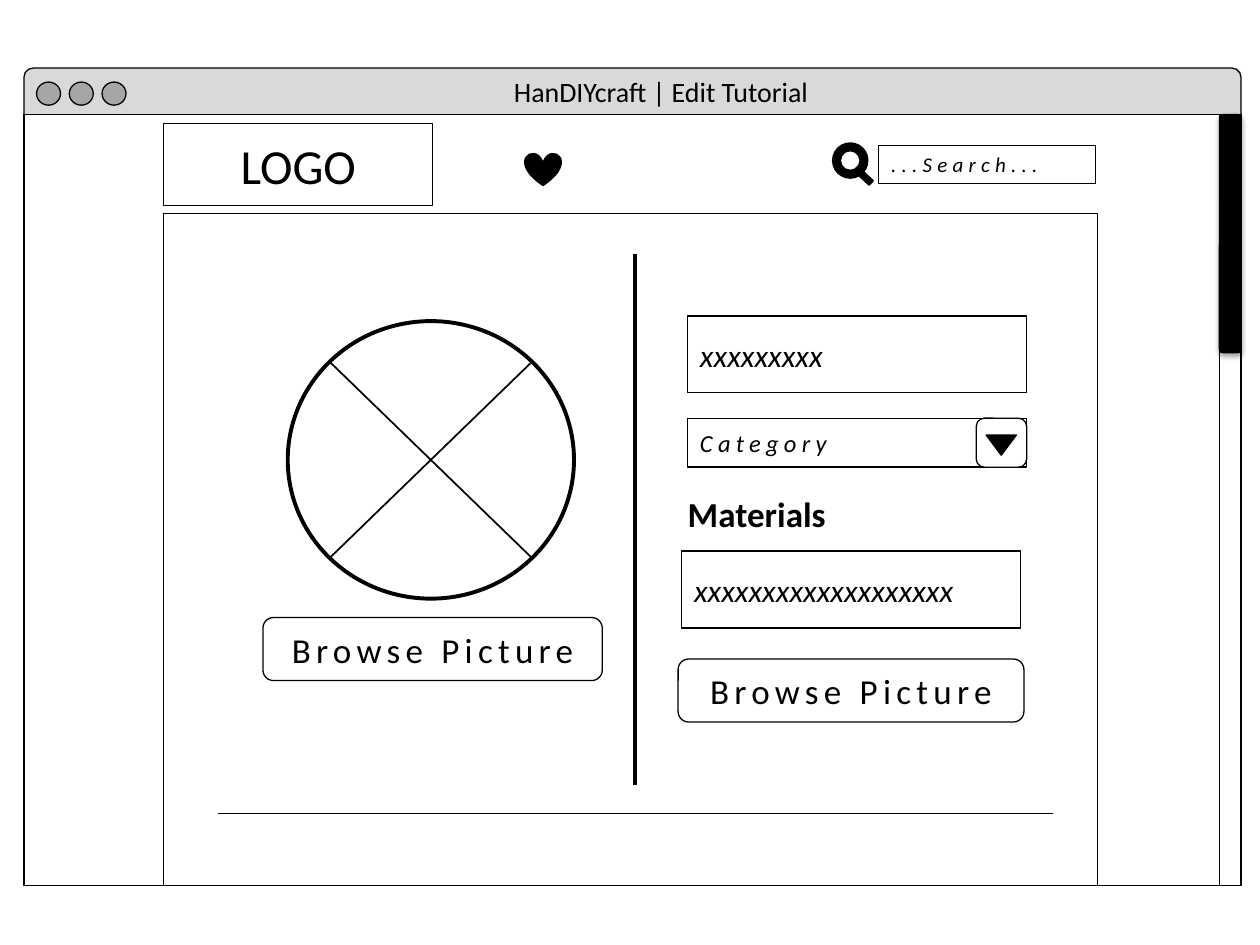
from math import sqrt
from lxml.etree import SubElement as Sub
from pptx import Presentation
from pptx.dml.color import RGBColor
from pptx.enum.shapes import MSO_CONNECTOR as Link, MSO_SHAPE as Form
from pptx.enum.text import MSO_ANCHOR as Anchor, MSO_AUTO_SIZE as Fit, PP_ALIGN as Align
from pptx.oxml.ns import qn
from pptx.util import Pt

BLACK = RGBColor(0, 0, 0)
WHITE = RGBColor(255, 255, 255)
LIGHT = RGBColor(0xD9, 0xD9, 0xD9)
GREY = RGBColor(0xA6, 0xA6, 0xA6)


def inner(box, x, y, w, h):
    """Return a box given by its offset inside another box."""
    return box[0] + x, box[1] + y, w, h


def draw(slide, kind, box, fill=None, line=0.75, turn=0):
    """Add a preset shape with a plain fill and black outline."""
    shape = slide.shapes.add_shape(kind, *map(Pt, box))
    shape.shadow.inherit = False
    shape.rotation = turn
    if fill is None:
        shape.fill.background()
    else:
        shape.fill.solid()
        shape.fill.fore_color.rgb = fill
    if line:
        shape.line.color.rgb = BLACK
        shape.line.width = Pt(line)
    else:
        shape.line.fill.background()
    return shape


def rule(slide, x1, y1, x2, y2, width=1):
    """Add a straight black line."""
    line = slide.shapes.add_connector(Link.STRAIGHT, Pt(x1), Pt(y1), Pt(x2), Pt(y2))
    line.line.color.rgb = BLACK
    line.line.width = Pt(width)
    Sub(line._element.spPr, qn("a:effectLst"))


def write(shape, text, size, align=Align.LEFT, anchor=Anchor.MIDDLE,
          bold=False, italic=False, gap=0, wrap=True):
    """Put one run of text into a shape."""
    frame = shape.text_frame
    frame.word_wrap = wrap
    frame.vertical_anchor = anchor
    para = frame.paragraphs[0]
    para.alignment = align
    run = para.add_run()
    run.text = text
    font = run.font
    font.name, font.size, font.color.rgb = "Calibri", Pt(size), BLACK
    font.bold, font.italic = bold, italic
    if gap:
        run._r.get_or_add_rPr().set("spc", str(gap * 100))


def label(slide, box, text, size, **style):
    """Add a text box that grows with its text."""
    shape = slide.shapes.add_textbox(*map(Pt, box))
    write(shape, text, size, anchor=Anchor.TOP, **style)
    shape.text_frame.auto_size = Fit.SHAPE_TO_FIT_TEXT


def field(slide, box, text, size, gap=0):
    """Add an input field with italic text."""
    shape = draw(slide, Form.RECTANGLE, box, WHITE)
    write(shape, text, size, italic=True, gap=gap)


def button(slide, box, text):
    """Add a rounded button with spaced text."""
    shape = draw(slide, Form.ROUNDED_RECTANGLE, box)
    write(shape, text, 20, align=Align.CENTER, gap=3)


def shade(shape):
    """Cast a soft shadow straight down."""
    effects = shape._element.spPr.find(qn("a:effectLst"))
    outer = Sub(effects, qn("a:outerShdw"), blurRad=str(Pt(3.1)), dist=str(Pt(1.8)),
                dir="5400000", rotWithShape="0")
    tint = Sub(outer, qn("a:srgbClr"), val="000000")
    Sub(tint, qn("a:alpha"), val="35000")


def window(slide, box):
    """Draw the browser frame with title bar and scroll bar."""
    wide, high, top, slim = box[2], box[3], 26.6, 12.4
    draw(slide, Form.ROUNDED_RECTANGLE, inner(box, 0, 0, wide, 31.7), LIGHT)
    draw(slide, Form.RECTANGLE, inner(box, 0, top, wide, high - top), WHITE)
    for i in range(3):
        draw(slide, Form.OVAL, inner(box, 7.2 + 18.7 * i, 8, 13.7, 13.2), GREY)
    label(slide, inner(box, 272.9, 0, 216, top), "HanDIYcraft | Edit Tutorial", 16)
    draw(slide, Form.RECTANGLE, inner(box, wide - slim, top, slim, high - top), WHITE)
    thumb = inner(box, wide - slim, top, slim, 136.1)
    shade(draw(slide, Form.ROUNDED_RECTANGLE, thumb, BLACK))


def header(slide, box):
    """Draw the logo box, the heart and the search field."""
    logo = draw(slide, Form.RECTANGLE, inner(box, 0, 0, 153.6, box[3]), WHITE)
    write(logo, "LOGO", 28, align=Align.CENTER)
    draw(slide, Form.ROUNDED_RECTANGLE, inner(box, 407.5, 14.4, 126, 27.4), WHITE, 0)
    find = draw(slide, Form.RECTANGLE, inner(box, 408.5, 12.4, 123.8, 21.8))
    write(find, "...Search...", 12, anchor=Anchor.TOP, italic=True, gap=3)
    draw(slide, Form.DONUT, inner(box, 381.8, 10.6, 20.9, 20.9), BLACK, 0)
    draw(slide, Form.ROUNDED_RECTANGLE, inner(box, 394.6, 28.1, 11.5, 4.3), BLACK, 0, 43.1)
    draw(slide, Form.HEART, inner(box, 205.9, 16.4, 21.6, 19.4), BLACK, 0)


def page(slide, box):
    """Draw the content panel with its two dividers."""
    x, y = box[:2]
    draw(slide, Form.RECTANGLE, box, WHITE)
    rule(slide, x + 269.3, y + 23.2, x + 269.3, y + 326.2, 2)
    rule(slide, x + 31, y + 342.7, x + 508.3, y + 342.7)


def picture(slide, box):
    """Draw the crossed circle above its browse button."""
    disc = inner(box, 14.1, 0, 163.6, 158.6)
    draw(slide, Form.OVAL, disc, line=2.25)
    cut = (1 - 1 / sqrt(2)) / 2
    x, y, w, h = disc
    left, right = x + w * cut, x + w * (1 - cut)
    top, foot = y + h * cut, y + h * (1 - cut)
    rule(slide, left, top, right, foot)
    rule(slide, left, foot, right, top)
    button(slide, inner(box, 0, 169.4, box[2], 36), "Browse Picture")


def details(slide, box):
    """Draw the name, category and materials inputs."""
    wide = 193.7
    field(slide, inner(box, 7, 0, wide, 43.9), "xxxxxxxxx", 18)
    field(slide, inner(box, 7, 58.4, wide, 28), "Category", 14, gap=3)
    draw(slide, Form.ROUNDED_RECTANGLE, inner(box, 172, 58.4, 28.8, 28), WHITE)
    draw(slide, Form.ISOSCELES_TRIANGLE, inner(box, 177.6, 68, 17.3, 11.5), BLACK, turn=180)
    label(slide, inner(box, 0, 97.2, 94.3, 31.7), "Materials", 20, bold=True, wrap=False)
    field(slide, inner(box, 3.6, 134.3, wide, 43.9), "xxxxxxxxxxxxxxxxxxx", 18)
    button(slide, inner(box, 1.6, 196, 197.6, 36), "Browse Picture")


def main():
    """Build the wireframe slide and save it."""
    deck = Presentation()
    deck.slide_width, deck.slide_height = Pt(720), Pt(540)
    slide = deck.slides.add_slide(deck.slide_layouts[6])
    window(slide, (13.7, 38.9, 695.5, 467.1))
    header(slide, (93.6, 70.7, 533.5, 46.8))
    page(slide, (93.6, 122.2, 533.5, 383.8))
    picture(slide, (150.3, 183.5, 193.9, 205.4))
    details(slide, (385.9, 180.6, 200.9, 232))
    deck.save("out.pptx")


if __name__ == "__main__":
    main()
